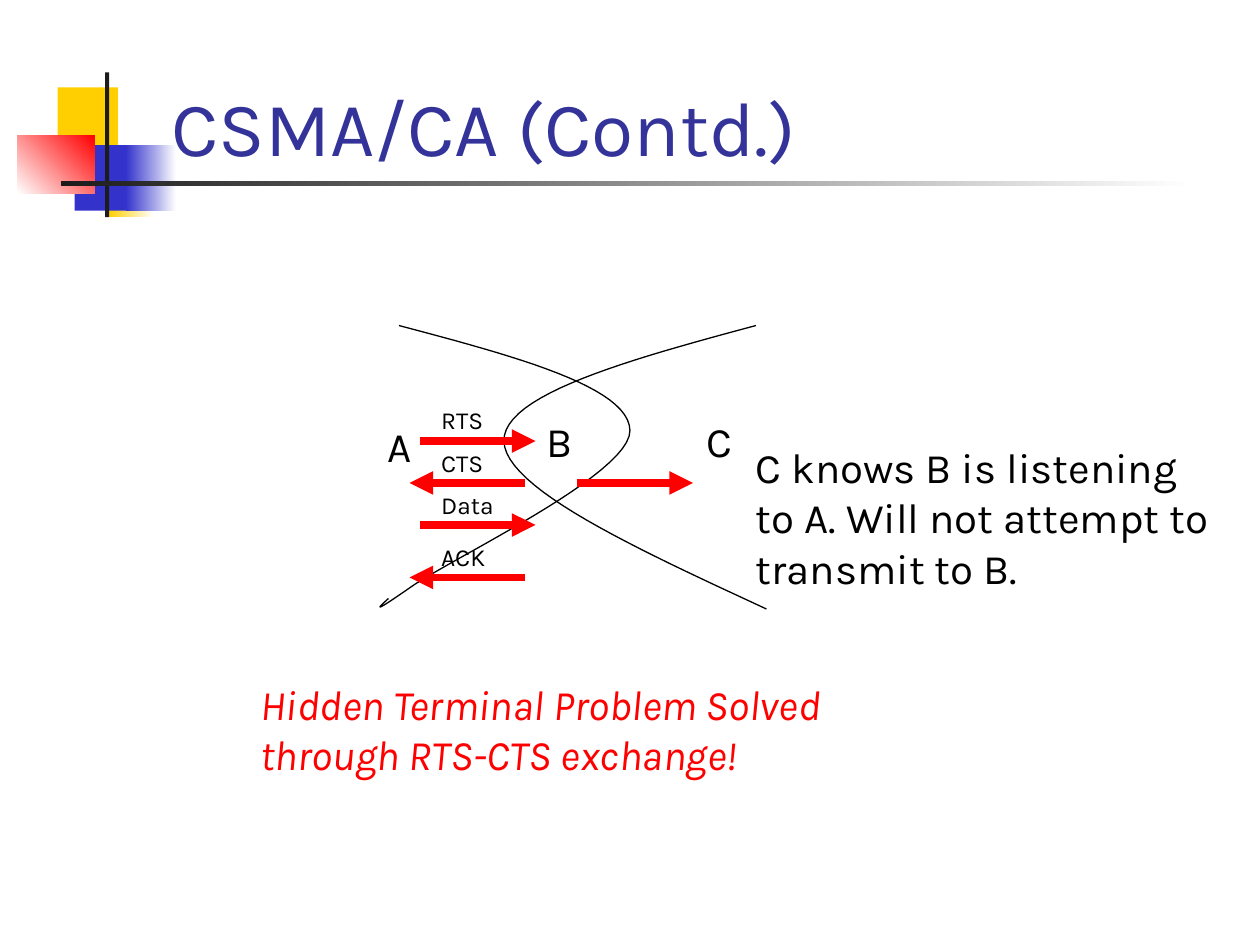
from lxml import etree
from pptx import Presentation
from pptx import util as u
from pptx.dml.color import RGBColor
from pptx.enum import shapes, text
from pptx.oxml.ns import qn

BLACK, WHITE, RED = "000000", "FFFFFF", "FF0000"
YELLOW, BLUE, DARK, TITLE_BLUE = "FFCF01", "3333CC", "1C1C1C", "333399"


def color(value):
    return RGBColor.from_string(value)


def bezier(p0, p1, p2, p3, steps=24):
    """Points on a cubic curve, without its start point."""
    points = []
    for step in range(1, steps + 1):
        t = step / steps
        weights = ((1 - t) ** 3, 3 * t * (1 - t) ** 2, 3 * t * t * (1 - t), t ** 3)
        points.append(tuple(
            u.Pt(sum(w * p[axis] for w, p in zip(weights, (p0, p1, p2, p3))))
            for axis in (0, 1)))
    return points


class Slide:
    font = "Karla"

    def __init__(self, deck):
        self.page = deck.slides.add_slide(deck.slide_layouts[5])

    def style(self, para, size, fill, italic=False):
        para.font.name = self.font
        para.font.size = u.Pt(size)
        para.font.color.rgb = color(fill)
        para.font.italic = italic

    def title(self, words, left, top, width, height):
        box = self.page.shapes.title
        box.left, box.top, box.width, box.height = map(u.Pt, (left, top, width, height))
        frame = box.text_frame
        frame.text = words
        frame.auto_size = text.MSO_AUTO_SIZE.NONE
        frame.vertical_anchor = text.MSO_ANCHOR.BOTTOM
        para = frame.paragraphs[0]
        para.alignment = text.PP_ALIGN.LEFT
        self.style(para, 44, TITLE_BLUE)

    def block(self, left, top, width, height, start, end=None, angle=0):
        """Borderless rectangle, with a gradient when an end colour is given."""
        box = self.page.shapes.add_shape(
            shapes.MSO_SHAPE.RECTANGLE, *map(u.Pt, (left, top, width, height)))
        box.shadow.inherit = False
        box.line.fill.background()
        if end is None:
            box.fill.solid()
            box.fill.fore_color.rgb = color(start)
        else:
            box.fill.gradient()
            box.fill.gradient_angle = angle
            for stop, shade in zip(box.fill.gradient_stops, (start, end)):
                stop.color.rgb = color(shade)

    def label(self, lines, left, top, width, height, size=24, fill=BLACK, italic=False):
        box = self.page.shapes.add_textbox(*map(u.Pt, (left, top, width, height)))
        frame = box.text_frame
        frame.word_wrap = False
        frame.auto_size = text.MSO_AUTO_SIZE.SHAPE_TO_FIT_TEXT
        frame.text = "\n".join(lines)
        for para in frame.paragraphs:
            self.style(para, size, fill, italic)

    def curve(self, points):
        """Open line through chained cubic curves: a start, then three points each."""
        builder = self.page.shapes.build_freeform(*map(u.Pt, points[0]))
        for start in range(0, len(points) - 1, 3):
            builder.add_line_segments(bezier(*points[start:start + 4]), close=False)
        line = builder.convert_to_shape()
        line.shadow.inherit = False
        line.fill.background()
        line.line.color.rgb = color(BLACK)
        line.line.width = u.Pt(0.75)

    def arrow(self, start, end, y):
        line = self.page.shapes.add_connector(
            shapes.MSO_CONNECTOR.STRAIGHT, *map(u.Pt, (start, y, end, y)))
        line.line.color.rgb = color(RED)
        line.line.width = u.Pt(4.5)
        properties = line.element.spPr
        etree.SubElement(properties.find(qn("a:ln")), qn("a:tailEnd"), type="triangle")
        etree.SubElement(properties, qn("a:effectLst"))


def main():
    deck = Presentation()
    deck.slide_width, deck.slide_height = u.Pt(720), u.Pt(540)
    slide = Slide(deck)

    slide.block(33, 49.9, 34.4, 37.4, YELLOW)
    slide.block(62, 86.6, 25.9, 37.4, YELLOW, WHITE)
    slide.block(42.7, 83, 33.1, 37.4, BLUE)
    slide.block(72, 83, 28.8, 37.4, BLUE, WHITE)
    slide.block(10, 77.2, 44, 33.5, WHITE, RED, angle=45)
    slide.block(60, 41.3, 2.4, 82.8, DARK)
    slide.block(34.8, 103.6, 648, 2.5, DARK, WHITE)
    slide.title("CSMA/CA (Contd.)", 90.7, 11.9, 613.4, 90)

    for station, left, top in (("A", 214.6, 237), ("B", 305.3, 234), ("C", 396.7, 234)):
        slide.label([station], left, top, 29.5, 36)

    range_of_a = [(228, 186), (294, 203.5), (359.5, 221), (360, 246),
                  (360.5, 271), (257, 319.5), (234, 336),
                  (211, 352), (216.5, 347), (222, 342)]
    range_of_c = [(432, 186), (359.5, 205.5), (287.5, 225.5), (288, 252),
                  (288.5, 279), (363.5, 313.5), (438, 348)]
    slide.curve(range_of_a)
    slide.curve(range_of_c)

    to_b, to_a = (240, 306), (300, 234)
    messages = (("RTS", 252, to_b, 42), ("CTS", 276, to_a, 42),
                ("Data", 300, to_b, 47), ("ACK", 330, to_a, 43))
    for name, y, ends, width in messages:
        slide.arrow(*ends, y)
        slide.label([name], 245, y - 23.8, width, 24.5, size=14)
    slide.arrow(330, 396, 276)

    slide.label(["C knows B is listening", "to A. Will not attempt to", "transmit to B."],
                424.8, 248.7, 283, 93.6)
    slide.label(["Hidden Terminal Problem Solved", "through RTS-CTS exchange!"],
                141.8, 384, 362, 64.8, fill=RED, italic=True)
    deck.save("out.pptx")


if __name__ == "__main__":
    main()
